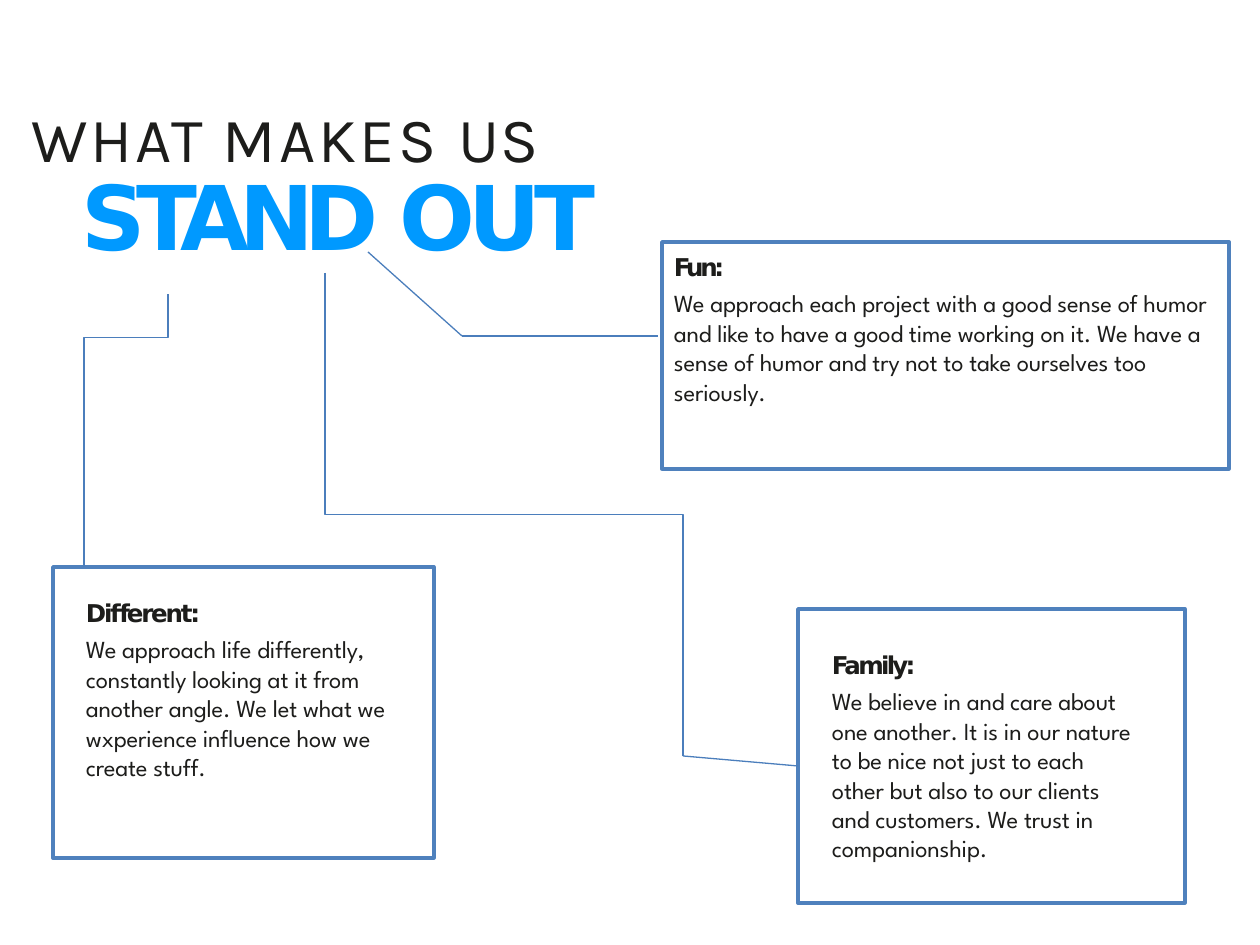
"""Build the "What makes us stand out" slide."""
from lxml.etree import SubElement
from pptx import Presentation
from pptx.dml.color import RGBColor
from pptx.enum.shapes import MSO_CONNECTOR, MSO_SHAPE
from pptx.enum.text import MSO_ANCHOR, PP_ALIGN
from pptx.oxml.ns import qn
from pptx.util import Emu, Pt

PX = 914400 // 126
HUES = {"ink": "1D1D1B", "blue": "0099FF", "edge": "4F81BD", "wire": "4B7EBC", "white": "FFFFFF"}
SIZE = (1260, 945)
TITLE = {
    "at": (32, 113, 905, 157),
    "lines": [
        (0, 35.5, [("WHAT ", 1.4), ("MAKES ", 1.8), ("US", 0.7)],
         {"name": "Karla", "size": Pt(36), "bold": False}, "ink"),
        (50, 53.4, [("STAND ", -5.7), ("OUT", -3.8)],
         {"name": "DejaVu Sans", "size": Pt(51), "bold": True}, "blue"),
    ],
}
CARDS = [
    {"box": (53, 567, 381, 291), "pad": (33, 31, 34, 0), "head": "Different:", "gap": -1.3,
     "body": "We approach life differently, constantly looking at it from another angle. "
             "We let what we wxperience inﬂuence how we create stuff."},
    {"box": (662, 242, 567, 227), "pad": (12, 10, 8, 0), "head": "Fun:", "gap": -1.9,
     "body": "We approach each project with a good sense of humor and like to have a good time "
             "working on it. We have a sense of humor and try not to take ourselves too seriously."},
    {"box": (798, 609, 387, 294), "pad": (34, 41, 50, 0), "head": "Family:", "gap": -1.6,
     "body": "We believe in and care about one another. It is in our nature to be nice not just "
             "to each other but also to our clients and customers. We trust in companionship."},
]
HEAD = {"name": "DejaVu Sans", "size": Pt(14), "bold": True}
BODY = {"name": "League Spartan", "size": Pt(14), "bold": False}
LINES = [(368, 252, 462, 336), (462, 336, 658, 336), (683, 756, 798, 766)]
BENDS = [(168, 294, 84, 567, 0.159), (325, 273, 683, 756, 0.5)]


def px(vals):
    return [Emu(round(v * PX)) for v in vals]


def hue(key):
    return RGBColor.from_string(HUES[key])


def add_run(para, text, gap, form, tint):
    run = para.add_run()
    run.text = text
    for key, val in form.items():
        setattr(run.font, key, val)
    run.font.color.rgb = hue(tint)
    run.font._element.set("spc", str(round(gap * 100)))


def set_frame(frame, pad):
    sides = ("margin_left", "margin_top", "margin_right", "margin_bottom")
    form = dict(zip(sides, px(pad)), word_wrap=True, vertical_anchor=MSO_ANCHOR.TOP)
    for key, val in form.items():
        setattr(frame, key, val)


def add_card(shapes, card):
    shape = shapes.add_shape(MSO_SHAPE.RECTANGLE, *px(card["box"]))
    shape.shadow.inherit = False
    shape.fill.solid()
    shape.fill.fore_color.rgb = hue("white")
    shape.line.color.rgb = hue("edge")
    shape.line.width = Pt(2)
    frame = shape.text_frame
    set_frame(frame, card["pad"])
    head, body = frame.paragraphs[0], frame.add_paragraph()
    head.alignment = body.alignment = PP_ALIGN.LEFT
    body.space_before = Pt(4)
    add_run(head, card["head"], card["gap"], HEAD, "ink")
    add_run(body, card["body"], -0.1, BODY, "ink")


def add_title(shapes):
    frame = shapes.add_textbox(*px(TITLE["at"])).text_frame
    set_frame(frame, (0, 0, 0, 0))
    for num, (left, lead, runs, form, tint) in enumerate(TITLE["lines"]):
        para = frame.add_paragraph() if num else frame.paragraphs[0]
        para.line_spacing = Pt(lead)
        para._p.get_or_add_pPr().set("marL", str(left * PX))
        for text, gap in runs:
            add_run(para, text, gap, form, tint)


def add_wire(shapes, kind, ends):
    wire = shapes.add_connector(kind, *px(ends))
    wire.line.color.rgb = hue("wire")
    wire.line.width = Pt(0.75)
    SubElement(wire._element.spPr, qn("a:effectLst"))
    return wire


def add_bend(shapes, x1, y1, x2, y2, turn):
    midx, midy = (x1 + x2) / 2, (y1 + y2) / 2
    wide, high = (y2 - y1) / 2, abs(x2 - x1) / 2
    side = 1 if x2 > x1 else -1
    ends = (midx + side * wide, midy - high, midx - side * wide, midy + high)
    props = add_wire(shapes, MSO_CONNECTOR.ELBOW, ends)._element.spPr
    props.find(qn("a:xfrm")).set("rot", str((270 if side > 0 else 90) * 60000))
    geom = props.find(qn("a:prstGeom"))
    rules = geom.find(qn("a:avLst"))
    if rules is None:
        rules = SubElement(geom, qn("a:avLst"))
    SubElement(rules, qn("a:gd"), name="adj1", fmla=f"val {round(turn * 100000)}")


def main():
    deck = Presentation()
    deck.slide_width, deck.slide_height = px(SIZE)
    shapes = deck.slides.add_slide(deck.slide_layouts[6]).shapes
    for card in CARDS:
        add_card(shapes, card)
    add_title(shapes)
    for ends in LINES:
        add_wire(shapes, MSO_CONNECTOR.STRAIGHT, ends)
    for bend in BENDS:
        add_bend(shapes, *bend)
    deck.save("out.pptx")


if __name__ == "__main__":
    main()
